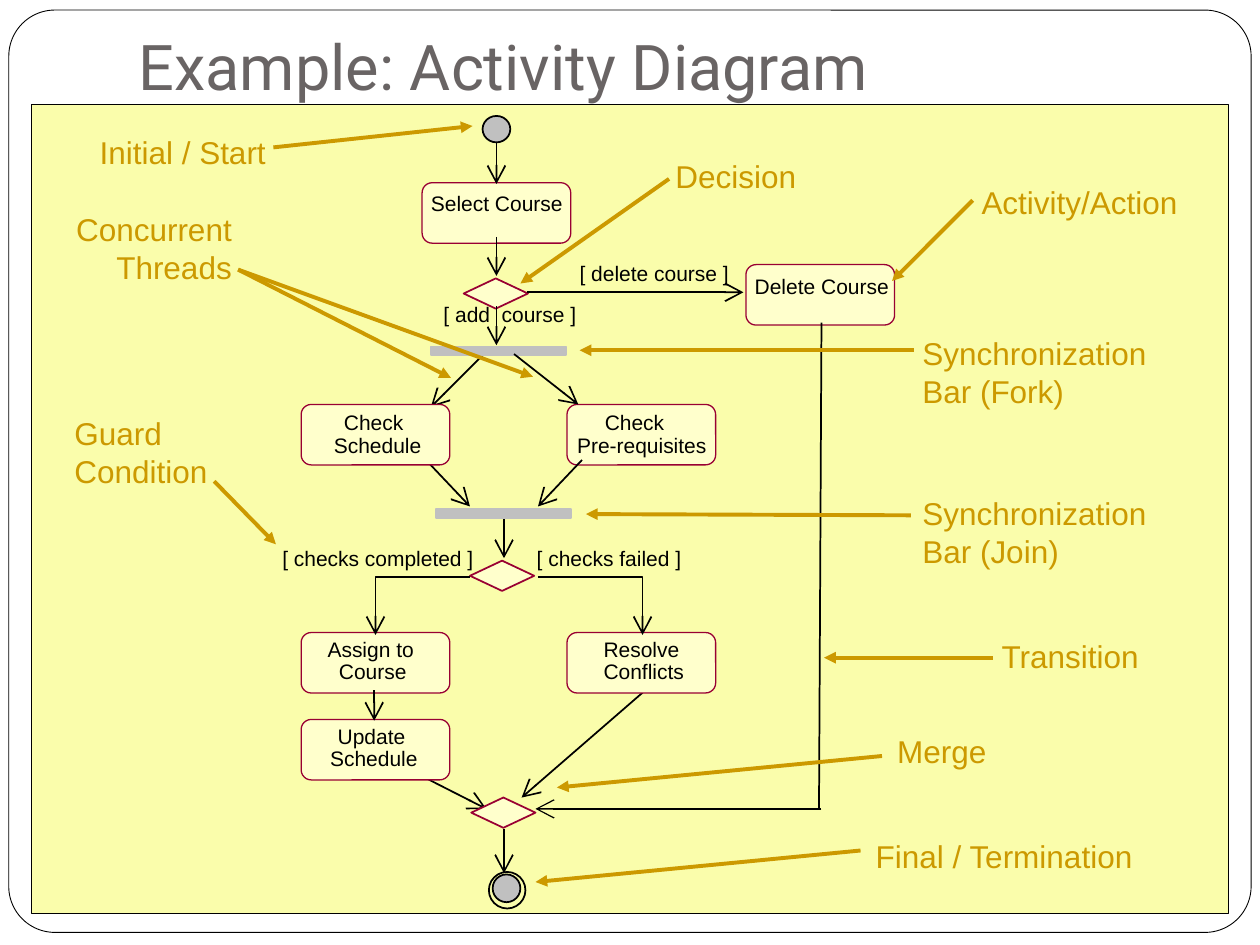
"""Build a slide with an annotated activity diagram."""
from dataclasses import dataclass

from lxml import etree
from pptx import Presentation
from pptx.dml.color import RGBColor
from pptx.enum.shapes import MSO_CONNECTOR, MSO_SHAPE
from pptx.enum.text import MSO_ANCHOR, MSO_AUTO_SIZE, PP_ALIGN
from pptx.oxml.ns import qn
from pptx.util import Inches, Pt

STRAIGHT = MSO_CONNECTOR.STRAIGHT
ROUND, RECT = MSO_SHAPE.ROUNDED_RECTANGLE, MSO_SHAPE.RECTANGLE
OVAL, DIAMOND = MSO_SHAPE.OVAL, MSO_SHAPE.DIAMOND
LEFT, RIGHT = PP_ALIGN.LEFT, PP_ALIGN.RIGHT
BOTTOM = MSO_ANCHOR.BOTTOM
FIT, FIXED = MSO_AUTO_SIZE.SHAPE_TO_FIT_TEXT, MSO_AUTO_SIZE.NONE

COLORS = {
    "black": "000000", "white": "FFFFFF", "panel": "FAFDAB", "box": "FFFFCC",
    "edge": "990033", "gray": "C0C0C0", "gold": "CC9900", "title": "696464",
}


@dataclass
class Node:
    kind: int
    left: float
    top: float
    width: float
    height: float
    fill: str | None
    edge: str
    weight: float = 1


@dataclass
class Flow:
    points: list[tuple[float, float]]
    weight: float = 1
    color: str = "black"
    head: str | None = "arrow"
    size: str = "lg"


@dataclass
class Label:
    lines: list[str]
    left: float
    top: float
    width: float
    height: float = 0.2
    size: int = 12
    color: str = "black"
    pad: float = 0
    align: int = LEFT


def rgb(name: str) -> RGBColor:
    """Return the named colour."""
    return RGBColor.from_string(COLORS[name])


def action(left: float, top: float) -> Node:
    """Describe an action box."""
    return Node(ROUND, left, top, 1.18, 0.48, "box", "edge", 0)


def choice(left: float, top: float) -> Node:
    """Describe a decision or merge diamond."""
    return Node(DIAMOND, left, top, 0.51, 0.24, "box", "edge")


def bar(left: float, top: float) -> Node:
    """Describe a fork or join bar."""
    return Node(RECT, left, top, 1.07, 0.07, "gray", "gray")


def note(lines: list[str], left: float, top: float, width: float,
         height: float = 0.42, align: int = LEFT) -> Label:
    """Describe a gold callout label."""
    return Label(lines, left, top, width, height, 18, "gold", 0.12, align)


def pointer(start: tuple[float, float], end: tuple[float, float]) -> Flow:
    """Describe a gold callout arrow."""
    return Flow([start, end], 2.25, "gold", "triangle", "med")


def draw_node(shapes, node: Node):
    """Draw a filled and outlined shape."""
    shape = shapes.add_shape(node.kind, Inches(node.left), Inches(node.top),
                             Inches(node.width), Inches(node.height))
    shape.shadow.inherit = False
    if node.fill:
        shape.fill.solid()
        shape.fill.fore_color.rgb = rgb(node.fill)
    else:
        shape.fill.background()
    shape.line.color.rgb = rgb(node.edge)
    shape.line.width = Pt(node.weight)
    return shape


def draw_flow(shapes, flow: Flow) -> None:
    """Draw a straight or bent line with its arrowhead."""
    points = [(Inches(x), Inches(y)) for x, y in flow.points]
    if len(points) == 2:
        shape = shapes.add_connector(STRAIGHT, *points[0], *points[1])
        etree.SubElement(shape.element.spPr, qn("a:effectLst"))
    else:
        path = shapes.build_freeform(*points[0], scale=1.0)
        path.add_line_segments(points[1:], close=False)
        shape = path.convert_to_shape()
        shape.shadow.inherit = False
        shape.fill.background()
    shape.line.color.rgb = rgb(flow.color)
    shape.line.width = Pt(flow.weight)
    if flow.head:
        etree.SubElement(shape.get_or_add_ln(), qn("a:tailEnd"),
                         type=flow.head, w=flow.size, len=flow.size)


def draw_label(shapes, label: Label) -> None:
    """Draw a text box with one paragraph per line."""
    frame = shapes.add_textbox(Inches(label.left), Inches(label.top),
                               Inches(label.width), Inches(label.height)).text_frame
    frame.word_wrap = label.pad > 0
    frame.auto_size = FIT
    frame.margin_left = frame.margin_right = Inches(label.pad)
    frame.margin_top = frame.margin_bottom = Inches(label.pad / 2)
    frame.text = "\n".join(label.lines)
    for para in frame.paragraphs:
        para.alignment = label.align
        para.font.name = "Arial"
        para.font.size = Pt(label.size)
        para.font.color.rgb = rgb(label.color)


def set_title(title, text: str) -> None:
    """Place and format the title in front of the panel."""
    title.element.getparent().append(title.element)
    title.left, title.top = Inches(1), Inches(0.3)
    title.width, title.height = Inches(8.5), Inches(0.62)
    frame = title.text_frame
    frame.text = text
    frame.word_wrap = True
    frame.auto_size = FIXED
    frame.vertical_anchor = BOTTOM
    frame.margin_left = frame.margin_right = frame.margin_bottom = Inches(0.1)
    frame.margin_top = Inches(0.05)
    para = frame.paragraphs[0]
    para.alignment = LEFT
    para.font.name = "Roboto"
    para.font.size = Pt(36)
    para.font.color.rgb = rgb("title")


UNDER = [
    Flow([(3.38, 3.65), (3.73, 4.02)]), Flow([(3.27, 6.12), (3.86, 6.42)]),
    Flow([(5.12, 5.48), (4.14, 6.33)]), Flow([(3.86, 2.79), (3.42, 3.23)]),
    Flow([(4, 4.08), (4, 4.43)]),
]
NODES = [
    action(5.92, 2.1), action(3.35, 1.45), action(2.39, 3.21), action(4.5, 3.21),
    action(2.39, 5.02), action(4.5, 5.02), action(2.39, 5.71),
    choice(3.68, 2.21), choice(3.73, 4.45), choice(3.74, 6.33),
    bar(3.42, 2.75), bar(3.46, 4.04),
    Node(OVAL, 3.83, 0.92, 0.22, 0.21, "gray", "black"),
    Node(OVAL, 3.88, 6.92, 0.29, 0.29, None, "black"),
    Node(OVAL, 3.91, 6.94, 0.22, 0.22, "gray", "black"),
]
OVER = [
    Flow([(3.94, 1.13), (3.94, 1.46)]), Flow([(3.94, 1.88), (3.94, 2.19)]),
    Flow([(3.94, 2.43), (3.94, 2.74)]), Flow([(4.18, 2.32), (5.9, 2.32)]),
    Flow([(4.08, 2.81), (4.59, 3.21)]), Flow([(4.62, 3.65), (4.27, 4.02)]),
    Flow([(3.73, 4.58), (2.98, 4.58), (2.98, 5.04)]),
    Flow([(4.27, 4.58), (5.1, 4.58), (5.1, 5.04)]),
    Flow([(2.97, 5.48), (2.97, 5.72)]), Flow([(4, 6.58), (4, 6.93)]),
    Flow([(6.52, 2.56), (6.5, 6.42)], head=None),
    Flow([(6.52, 6.42), (4.25, 6.42)], 0.75),
    pointer((7.72, 1.59), (7.08, 2.23)), pointer((7.25, 2.78), (4.6, 2.78)),
    pointer((1.7, 3.82), (2.19, 4.32)), pointer((5.31, 1.42), (4.13, 2.25)),
    pointer((7.88, 5.22), (6.54, 5.22)), pointer((1.89, 2.14), (3.58, 3)),
    pointer((1.89, 2.14), (4.23, 2.99)), pointer((7.23, 4.09), (4.65, 4.08)),
    pointer((6.83, 6.75), (4.25, 7)), pointer((7, 6), (4.42, 6.25)),
    pointer((2.17, 1.17), (3.75, 1)),
]
LABELS = [
    Label(["Select Course"], 3.42, 1.51, 1.05), Label(["Delete Course"], 5.99, 2.17, 1.07),
    Label(["[ add  course ]"], 3.52, 2.39, 1.1), Label(["[ delete course ]"], 4.6, 2.07, 1.19),
    Label(["Check"], 2.73, 3.25, 0.52), Label(["Schedule"], 2.65, 3.43, 0.7),
    Label(["Check"], 4.8, 3.25, 0.52), Label(["Pre-requisites"], 4.58, 3.43, 1.03),
    Label(["[ checks completed ]"], 2.24, 4.33, 1.52),
    Label(["[ checks failed ]"], 4.26, 4.33, 1.15),
    Label(["Assign to"], 2.6, 5.05, 0.73), Label(["Course"], 2.69, 5.23, 0.54),
    Label(["Resolve"], 4.79, 5.05, 0.65), Label(["Conflicts"], 4.79, 5.23, 0.64),
    Label(["Update"], 2.68, 5.74, 0.58), Label(["Schedule"], 2.62, 5.92, 0.7),
    note(["Initial / Start"], 0.67, 1, 1.92), note(["Decision"], 5.24, 1.19, 1.22),
    note(["Activity/Action"], 7.67, 1.39, 1.93),
    note(["Concurrent Threads"], 0.29, 1.61, 1.67, 0.72, RIGHT),
    note(["Synchronization", "Bar (Fork)"], 7.2, 2.59, 2.05, 0.72),
    note(["Guard", "Condition"], 0.47, 3.23, 1.31, 0.72),
    note(["Synchronization", "Bar (Join)"], 7.2, 3.86, 2.05, 0.72),
    note(["Transition"], 7.83, 5, 1.42), note(["Merge"], 7, 5.75, 1.22),
    note(["Final / Termination"], 6.83, 6.58, 2.33),
]


def main() -> None:
    """Build and save the slide."""
    deck = Presentation()
    deck.slide_width, deck.slide_height = Inches(10), Inches(7.5)
    shapes = deck.slides.add_slide(deck.slide_layouts[5]).shapes
    frame = draw_node(shapes, Node(ROUND, 0.07, 0.08, 9.86, 7.32, "white", "black", 0.5))
    frame.adjustments[0] = 0.05
    draw_node(shapes, Node(RECT, 0.25, 0.83, 9.5, 6.42, "panel", "black", 0.75))
    set_title(shapes.title, "Example: Activity Diagram")
    for draw, items in ((draw_flow, UNDER), (draw_node, NODES),
                        (draw_flow, OVER), (draw_label, LABELS)):
        for item in items:
            draw(shapes, item)
    deck.save("out.pptx")


if __name__ == "__main__":
    main()
